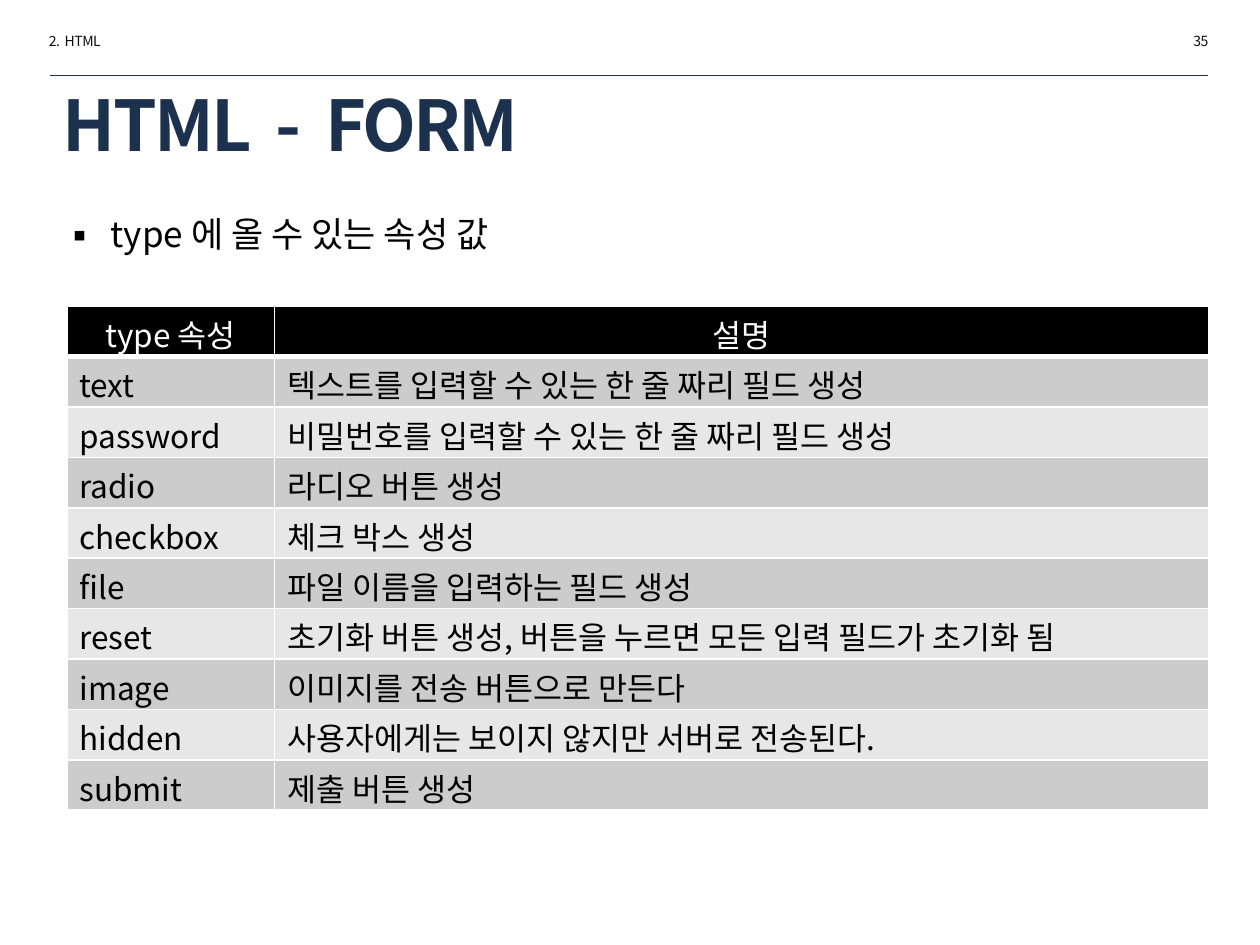
"""Builds the slide on the values of the type attribute."""
from dataclasses import dataclass

from lxml import etree
from pptx import Presentation
from pptx.dml.color import RGBColor
from pptx.enum.shapes import MSO_CONNECTOR
from pptx.enum.text import MSO_ANCHOR, MSO_AUTO_SIZE, PP_ALIGN
from pptx.oxml.ns import qn
from pptx.util import Inches, Pt

LEFT, RIGHT, MID = PP_ALIGN.LEFT, PP_ALIGN.RIGHT, PP_ALIGN.CENTER
TOP, CENTER, BASE = MSO_ANCHOR.TOP, MSO_ANCHOR.MIDDLE, MSO_ANCHOR.BOTTOM
GROW, FIXED = MSO_AUTO_SIZE.SHAPE_TO_FIT_TEXT, MSO_AUTO_SIZE.NONE
STRAIGHT = MSO_CONNECTOR.STRAIGHT
FONT = "Noto Sans CJK KR"
COLORS = {"navy": "1C314E", "ink": "0D0D0D", "black": "000000",
          "white": "FFFFFF", "dark": "CCCCCC", "light": "E7E7E7"}
ROWS = [
    ("type 속성", "설명"),
    ("text", "텍스트를 입력할 수 있는 한 줄 짜리 필드 생성"),
    ("password", "비밀번호를 입력할 수 있는 한 줄 짜리 필드 생성"),
    ("radio", "라디오 버튼 생성"),
    ("checkbox", "체크 박스 생성"),
    ("file", "파일 이름을 입력하는 필드 생성"),
    ("reset", "초기화 버튼 생성, 버튼을 누르면 모든 입력 필드가 초기화 됨"),
    ("image", "이미지를 전송 버튼으로 만든다"),
    ("hidden", "사용자에게는 보이지 않지만 서버로 전송된다."),
    ("submit", "제출 버튼 생성"),
]
WIDTHS = (1.65, 7.41)
ROW_H = 0.4


@dataclass
class Label:
    """One text box."""
    text: str
    left: float
    top: float
    width: float
    height: float
    size: int
    color: str
    align: PP_ALIGN = LEFT
    gap: int = 0
    title: bool = False
    bullet: bool = False


LABELS = [
    Label("2.  HTML", 0.29, 0.21, 1.73, 0.24, 8, "ink", gap=-30),
    Label("HTML  -  FORM", 0.4, 0.66, 9.15, 0.64, 40, "navy", gap=-150, title=True),
    Label("35", 7.96, 0.21, 1.73, 0.24, 8, "ink", RIGHT, gap=-30),
    Label("type 에 올 수 있는 속성 값", 0.4, 1.64, 9.15, 0.44, 20, "black", bullet=True),
]


def rgb(name: str) -> RGBColor:
    """Look up a colour."""
    return RGBColor.from_string(COLORS[name])


def style(para, size: int, color: str, align: PP_ALIGN, gap: int = 0, bold: bool = False) -> None:
    """Format a paragraph and its runs."""
    para.alignment = align
    for run in para.runs:
        font = run.font
        font.size, font.name, font.bold = Pt(size), FONT, bold
        font.color.rgb = rgb(color)
        props = run._r.get_or_add_rPr()
        etree.SubElement(props, qn("a:ea"), typeface=FONT)
        if gap:
            props.set("spc", str(gap))


def add_mark(para) -> None:
    """Give a paragraph a square bullet."""
    props = para._p.get_or_add_pPr()
    props.set("marL", str(Inches(0.38)))
    props.set("indent", str(-Inches(0.38)))
    tint = etree.SubElement(props, qn("a:buClr"))
    etree.SubElement(tint, qn("a:srgbClr"), val=COLORS["black"])
    etree.SubElement(props, qn("a:buFont"), typeface=FONT)
    etree.SubElement(props, qn("a:buChar"), char="▪")


def add_label(slide, item: Label) -> None:
    """Draw a text box."""
    box = slide.shapes.add_textbox(Inches(item.left), Inches(item.top),
                                   Inches(item.width), Inches(item.height))
    frame = box.text_frame
    frame.text = item.text
    frame.word_wrap = True
    frame.auto_size = FIXED if item.title else GROW
    frame.vertical_anchor = CENTER if item.title else TOP
    para = frame.paragraphs[0]
    style(para, item.size, item.color, item.align, item.gap, item.title)
    if item.bullet:
        add_mark(para)


def add_rule(slide) -> None:
    """Draw the line under the header."""
    rule = slide.shapes.add_connector(STRAIGHT, Inches(0.4), Inches(0.6),
                                      Inches(9.59), Inches(0.6))
    rule.line.color.rgb = rgb("navy")
    rule.line.width = Pt(0.25)
    etree.SubElement(rule._element.spPr, qn("a:effectLst"))


def add_edges(cell, head: bool) -> None:
    """Draw white borders round a cell."""
    props = cell._tc.get_or_add_tcPr()
    for spot, side in enumerate(("lnL", "lnR", "lnT", "lnB")):
        width = Pt(3 if head and side == "lnB" else 1)
        edge = etree.Element(qn(f"a:{side}"), w=str(width))
        fill = etree.SubElement(edge, qn("a:solidFill"))
        etree.SubElement(fill, qn("a:srgbClr"), val=COLORS["white"])
        props.insert(spot, edge)


def add_grid(slide) -> None:
    """Draw the table of values."""
    table = slide.shapes.add_table(len(ROWS), len(WIDTHS), Inches(0.53), Inches(2.43),
                                   Inches(sum(WIDTHS)), Inches(ROW_H * len(ROWS))).table
    for col, width in zip(table.columns, WIDTHS):
        col.width = Inches(width)
    for i, texts in enumerate(ROWS):
        head = i == 0
        table.rows[i].height = Inches(ROW_H)
        shade = "black" if head else "dark" if i % 2 else "light"
        for j, text in enumerate(texts):
            cell = table.cell(i, j)
            cell.text_frame.text = text
            cell.margin_top, cell.margin_bottom = Inches(0.03), Inches(0)
            cell.vertical_anchor = BASE
            cell.fill.solid()
            cell.fill.fore_color.rgb = rgb(shade)
            style(cell.text_frame.paragraphs[0], 18,
                  "white" if head else "black", MID if head else LEFT)
            add_edges(cell, head)


def main() -> None:
    """Build and save the slide."""
    deck = Presentation()
    deck.slide_width, deck.slide_height = Inches(10), Inches(7.5)
    slide = deck.slides.add_slide(deck.slide_layouts[6])
    add_rule(slide)
    for item in LABELS:
        add_label(slide, item)
    add_grid(slide)
    deck.save("out.pptx")


main()
